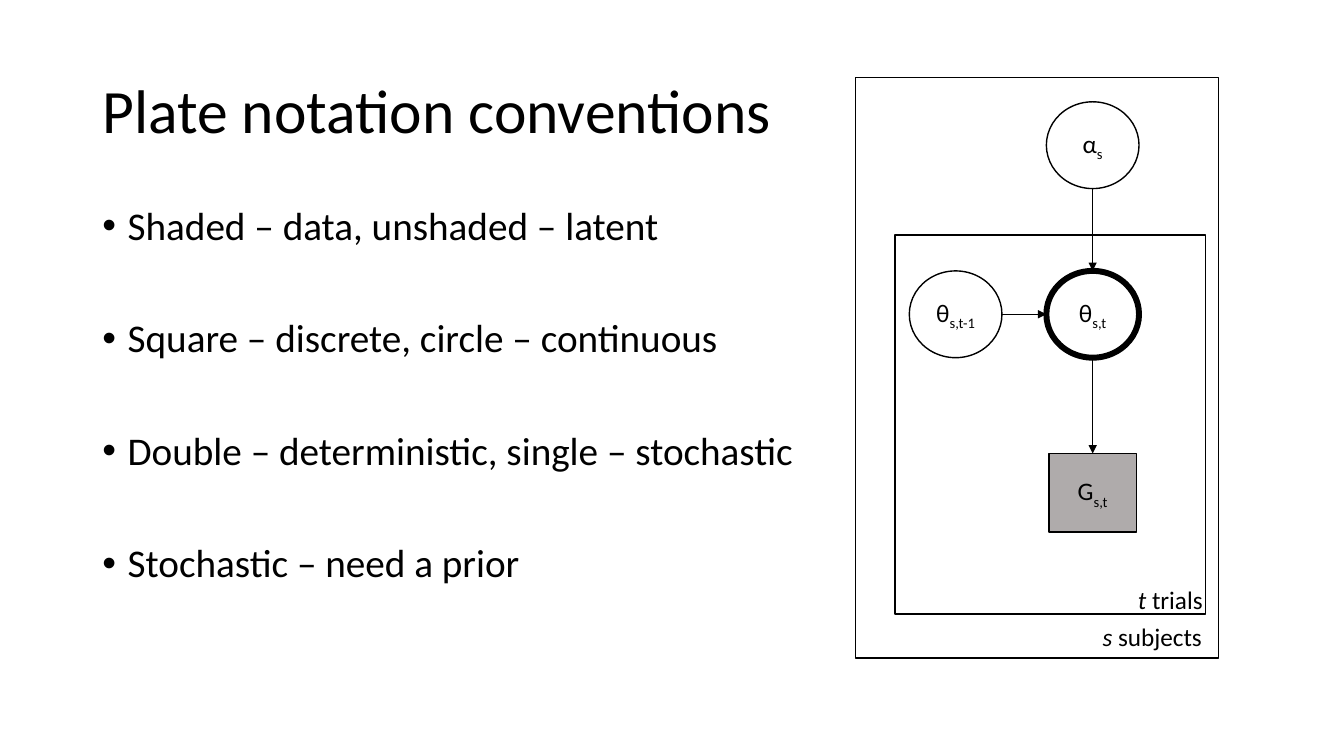
"""Build a slide on plate notation conventions with a graphical model."""
from dataclasses import dataclass

import lxml.etree
import pptx
import pptx.dml.color
import pptx.enum.shapes
import pptx.enum.text
import pptx.oxml.ns
import pptx.util

Pt = pptx.util.Pt
Align = pptx.enum.text.PP_ALIGN
Anchor = pptx.enum.text.MSO_ANCHOR
Preset = pptx.enum.shapes.MSO_SHAPE


@dataclass(frozen=True)
class Theme:
    """Hold the colours, font and type sizes of the slide."""
    font: str = "Calibri"
    ink: str = "000000"
    paper: str = "FFFFFF"
    shaded: str = "AFABAB"
    title_size: float = 44
    body_size: float = 28
    label_size: float = 18
    thin: float = 0.5
    normal: float = 1
    bold: float = 4.25


THEME = Theme()
CONVENTIONS = (
    "Shaded – data, unshaded – latent",
    "Square – discrete, circle – continuous",
    "Double – deterministic, single – stochastic",
    "Stochastic – need a prior",
)
CIRCLE = (66.2, 62)
SQUARE = (62.6, 56.2)
MAIN_X, PREVIOUS_X = 780.5, 682.6
ALPHA_Y, THETA_Y, DATA_Y = 103.7, 224.5, 352


def rgb(code):
    """Turn a hex code into a colour."""
    return pptx.dml.color.RGBColor.from_string(code)


def add_child(parent, tag, **attributes):
    """Append a drawing element to a parent element."""
    child = lxml.etree.SubElement(parent, pptx.oxml.ns.qn(tag))
    for name, value in attributes.items():
        child.set(name, value)


def add_text(para, text, *, size=THEME.label_size, italic=False, subscript=False):
    """Add a formatted span of text to a paragraph."""
    span = para.add_run()
    span.text = text
    span.font.name = THEME.font
    span.font.size = Pt(size)
    span.font.italic = italic
    span.font.color.rgb = rgb(THEME.ink)
    if subscript:
        span.font._element.set("baseline", "-25000")


def place(box, left, top, width, height):
    """Move and size a placeholder."""
    box.left, box.top = Pt(left), Pt(top)
    box.width, box.height = Pt(width), Pt(height)
    box.text_frame.auto_size = pptx.enum.text.MSO_AUTO_SIZE.NONE


def fill_title(box, text):
    """Write the slide title."""
    place(box, 66, 28.8, 828, 104.4)
    box.text_frame.vertical_anchor = Anchor.MIDDLE
    para = box.text_frame.paragraphs[0]
    para.alignment = Align.LEFT
    para.line_spacing = 0.9
    add_text(para, text, size=THEME.title_size)


def fill_bullets(box, items):
    """Write the widely spaced bullet list."""
    place(box, 66, 144, 517, 342.7)
    frame = box.text_frame
    for index, item in enumerate(items):
        para = frame.add_paragraph() if index else frame.paragraphs[0]
        para.line_spacing = 0.9
        para.space_before = Pt(10)
        para.space_after = Pt(40)
        properties = para._p.get_or_add_pPr()
        properties.set("marL", str(Pt(18)))
        properties.set("indent", str(-Pt(18)))
        add_child(properties, "a:buFont", typeface="Arial")
        add_child(properties, "a:buChar", char="•")
        add_text(para, item, size=THEME.body_size)


def add_outline(page, preset, left, top, width, height, *,
                fill=THEME.paper, weight=THEME.normal):
    """Add a filled and outlined preset shape."""
    shape = page.shapes.add_shape(preset, Pt(left), Pt(top), Pt(width), Pt(height))
    shape.shadow.inherit = False
    shape.fill.solid()
    shape.fill.fore_color.rgb = rgb(fill)
    shape.line.color.rgb = rgb(THEME.ink)
    shape.line.width = Pt(weight)
    return shape


def add_node(page, preset, center_x, center_y, size, symbol, index, **style):
    """Add a model variable with its subscripted symbol."""
    width, height = size
    node = add_outline(page, preset, center_x - width / 2, center_y - height / 2,
                       width, height, **style)
    frame = node.text_frame
    frame.word_wrap = False
    frame.vertical_anchor = Anchor.MIDDLE
    para = frame.paragraphs[0]
    para.alignment = Align.CENTER
    add_text(para, symbol)
    add_text(para, index, subscript=True)
    return node


def add_arrow(page, start, end):
    """Add a thin arrow between two points."""
    arrow = page.shapes.add_connector(
        pptx.enum.shapes.MSO_CONNECTOR.STRAIGHT, *start, *end)
    arrow.line.color.rgb = rgb(THEME.ink)
    arrow.line.width = Pt(THEME.thin)
    add_child(arrow.line._get_or_add_ln(), "a:tailEnd", type="triangle")
    add_child(arrow._element.spPr, "a:effectLst")


def link_down(page, parent, child):
    """Join a node to the one below it."""
    center = parent.left + parent.width // 2
    add_arrow(page, (center, parent.top + parent.height), (center, child.top))


def link_right(page, parent, child):
    """Join a node to the one on its right."""
    middle = parent.top + parent.height // 2
    add_arrow(page, (parent.left + parent.width, middle), (child.left, middle))


def add_plate_label(page, left, top, width, letter, word):
    """Add a plate label with an italic index letter."""
    box = page.shapes.add_textbox(Pt(left), Pt(top), Pt(width), Pt(29))
    box.text_frame.word_wrap = True
    para = box.text_frame.paragraphs[0]
    add_text(para, letter, italic=True)
    add_text(para, " " + word)


def add_model(page):
    """Draw the plates, variables and dependencies."""
    add_outline(page, Preset.RECTANGLE, 611.3, 55.4, 259.2, 414.7)
    add_outline(page, Preset.RECTANGLE, 639.4, 167.8, 221.8, 270.7)
    theta = add_node(page, Preset.OVAL, MAIN_X, THETA_Y, CIRCLE, "θ", "s,t",
                     weight=THEME.bold)
    data = add_node(page, Preset.RECTANGLE, MAIN_X, DATA_Y, SQUARE, "G", "s,t",
                    fill=THEME.shaded)
    alpha = add_node(page, Preset.OVAL, MAIN_X, ALPHA_Y, CIRCLE, "α", "s")
    previous = add_node(page, Preset.OVAL, PREVIOUS_X, THETA_Y, CIRCLE, "θ", "s,t-1")
    link_down(page, alpha, theta)
    link_down(page, theta, data)
    link_right(page, previous, theta)
    add_plate_label(page, 780.5, 440.6, 89.3, "s", "subjects")
    add_plate_label(page, 805.7, 413.6, 64.1, "t", "trials")


def main():
    """Build and save the deck."""
    deck = pptx.Presentation()
    deck.slide_width, deck.slide_height = Pt(960), Pt(540)
    page = deck.slides.add_slide(deck.slide_layouts[1])
    fill_title(page.shapes.title, "Plate notation conventions")
    fill_bullets(page.placeholders[1], CONVENTIONS)
    add_model(page)
    deck.save("out.pptx")


main()
